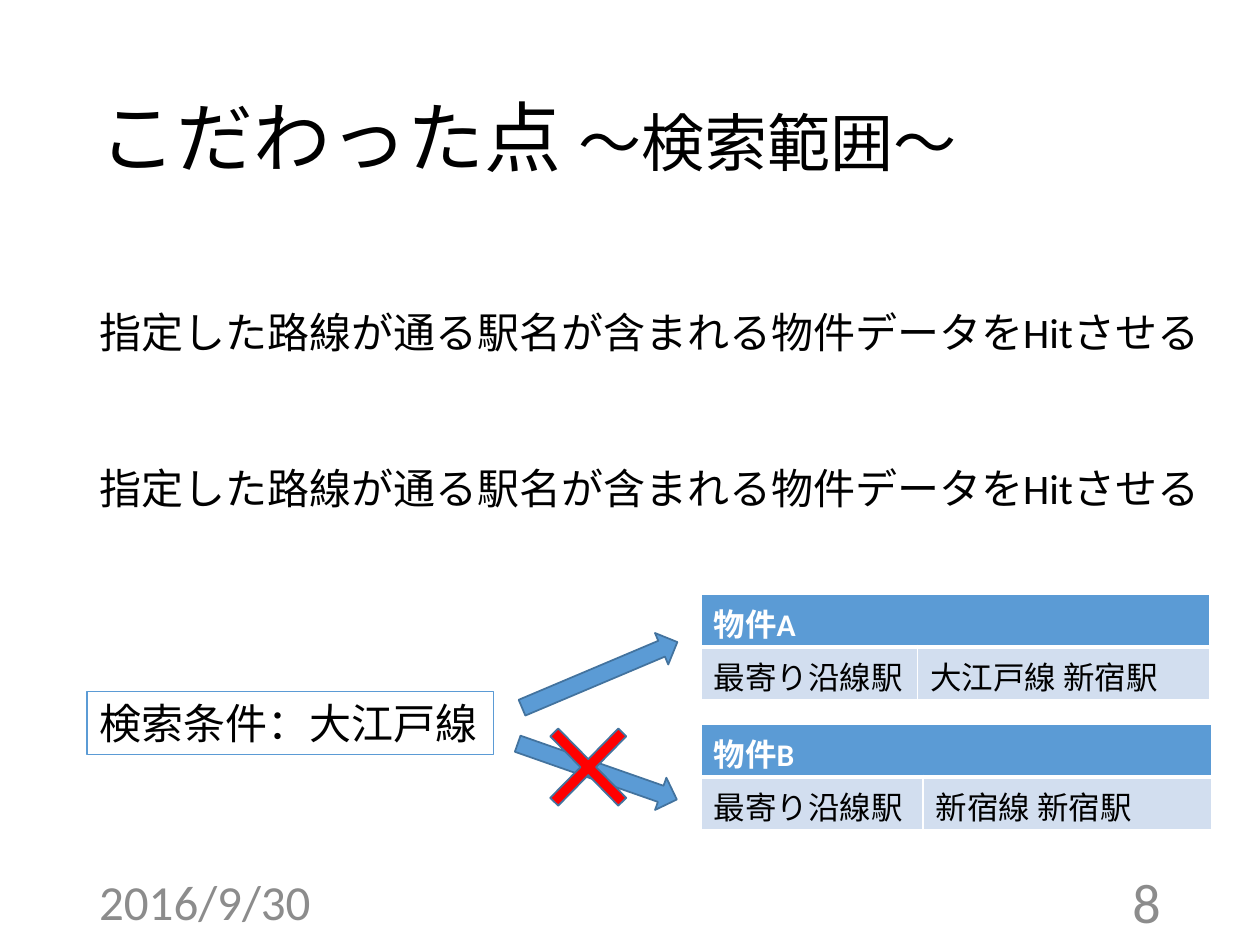
from dataclasses import dataclass

from lxml.etree import SubElement
from pptx import Presentation
from pptx.dml.color import RGBColor
from pptx.enum.shapes import MSO_SHAPE as Preset
from pptx.enum.text import MSO_ANCHOR as Anchor, PP_ALIGN as Align
from pptx.oxml.ns import qn
from pptx.util import Cm, Pt


@dataclass(frozen=True)
class Theme:
    font: str = "Calibri"
    ink: str = "000000"
    paper: str = "FFFFFF"
    muted: str = "8C8C8C"
    accent: str = "5B9BD5"
    outline: str = "43739E"
    pale: str = "D2DEEF"
    cross: str = "FF0000"
    title: int = 44
    subtitle: int = 36
    page: int = 32
    date: int = 28
    body: int = 24
    cell: int = 18


@dataclass(frozen=True)
class Box:
    """Left, top, width and height in centimetres."""
    left: float
    top: float
    width: float
    height: float

    def lengths(self) -> tuple:
        return Cm(self.left), Cm(self.top), Cm(self.width), Cm(self.height)


@dataclass(frozen=True)
class Property:
    name: str
    station: str
    top: float
    columns: tuple[float, float]


@dataclass(frozen=True)
class Mark:
    preset: Preset
    box: Box
    fill: str
    rotation: float = 0
    adjustment: float | None = None


THEME = Theme()
MARGIN = 1.75
TABLE_LEFT = 14.13
ROW_HEIGHT = 1.07
RULE = "指定した路線が通る駅名が含まれる物件データをHitさせる"
RULE_TOPS = (6.05, 9.2)

PROPERTIES = (
    Property("物件A", "大江戸線 新宿駅", 11.97, (4.37, 5.89)),
    Property("物件B", "新宿線 新宿駅", 14.59, (4.48, 5.82)),
)
MARKS = (
    Mark(Preset.RIGHT_ARROW, Box(10.39, 13.26, 3.4, 0.69), THEME.accent, 337.1),
    Mark(Preset.RIGHT_ARROW, Box(10.34, 15.21, 3.4, 0.69), THEME.accent, 19.3),
    Mark(Preset.MATH_MULTIPLY, Box(10.54, 14.12, 2.64, 2.69), THEME.cross,
         adjustment=0.085),
)


def color(value: str) -> RGBColor:
    return RGBColor.from_string(value)


def add_run(paragraph, text: str, size: int, ink: str = THEME.ink,
            bold: bool = False) -> None:
    run = paragraph.add_run()
    run.text = text
    run.font.name = THEME.font
    run.font.size = Pt(size)
    run.font.bold = bold
    run.font.color.rgb = color(ink)


def add_text(slide, box: Box, *runs: tuple, anchor=Anchor.TOP,
             align=Align.LEFT, spacing: float = 1.0):
    text_box = slide.shapes.add_textbox(*box.lengths())
    frame = text_box.text_frame
    frame.word_wrap = True
    frame.vertical_anchor = anchor
    paragraph = frame.paragraphs[0]
    paragraph.alignment = align
    paragraph.line_spacing = spacing
    for run in runs:
        add_run(paragraph, *run)
    return text_box


def set_borders(cell, bottom: int) -> None:
    """Give a cell white borders; python-pptx has no call for these."""
    properties = cell._tc.get_or_add_tcPr()
    widths = {"a:lnL": 1, "a:lnR": 1, "a:lnT": 1, "a:lnB": bottom}
    for position, (tag, width) in enumerate(widths.items()):
        line = SubElement(properties, qn(tag), w=str(Pt(width)))
        fill = SubElement(line, qn("a:solidFill"))
        SubElement(fill, qn("a:srgbClr"), val=THEME.paper)
        properties.insert(position, line)


def fill_cell(cell, fill: str, bottom: int, text: str = "",
              ink: str = THEME.ink, bold: bool = False) -> None:
    cell.fill.solid()
    cell.fill.fore_color.rgb = color(fill)
    set_borders(cell, bottom)
    if text:
        add_run(cell.text_frame.paragraphs[0], text, THEME.cell, ink, bold)


def add_property(slide, item: Property) -> None:
    box = Box(TABLE_LEFT, item.top, sum(item.columns), 2 * ROW_HEIGHT)
    table = slide.shapes.add_table(2, 2, *box.lengths()).table
    table.horz_banding = False
    for column, width in zip(table.columns, item.columns):
        column.width = Cm(width)
    table.cell(0, 0).merge(table.cell(0, 1))
    fill_cell(table.cell(0, 0), THEME.accent, 3, item.name, THEME.paper, True)
    fill_cell(table.cell(0, 1), THEME.accent, 3)
    for index, text in enumerate(("最寄り沿線駅", item.station)):
        fill_cell(table.cell(1, index), THEME.pale, 1, text)


def add_mark(slide, mark: Mark) -> None:
    shape = slide.shapes.add_shape(mark.preset, *mark.box.lengths())
    shape.shadow.inherit = False
    shape.rotation = mark.rotation
    if mark.adjustment is not None:
        shape.adjustments[0] = mark.adjustment
    shape.fill.solid()
    shape.fill.fore_color.rgb = color(mark.fill)
    shape.line.color.rgb = color(THEME.outline)
    shape.line.width = Pt(1)


def main() -> None:
    deck = Presentation()
    deck.slide_width, deck.slide_height = Cm(25.4), Cm(19.05)
    slide = deck.slides.add_slide(deck.slide_layouts[6])

    # Title, date and page number
    add_text(slide, Box(MARGIN, 1.02, 21.9, 3.68),
             ("こだわった点 ", THEME.title), ("～検索範囲～", THEME.subtitle),
             anchor=Anchor.MIDDLE, spacing=0.9)
    add_text(slide, Box(MARGIN, 17.65, 5.72, 1.02),
             ("2016/9/30", THEME.date, THEME.muted), anchor=Anchor.MIDDLE)
    add_text(slide, Box(17.93, 17.65, 5.72, 1.02),
             ("8", THEME.page, THEME.muted),
             anchor=Anchor.MIDDLE, align=Align.RIGHT)

    # Search rule and condition
    for top in RULE_TOPS:
        add_text(slide, Box(MARGIN, top, 22.91, 1.27), (RULE, THEME.body))
    condition = add_text(slide, Box(MARGIN, 13.94, 8.2, 1.27),
                         ("検索条件：大江戸線", THEME.body))
    condition.text_frame.word_wrap = False
    condition.line.color.rgb = color(THEME.accent)
    condition.line.width = Pt(1)

    # Properties, with the arrows to them and the cross
    for item in PROPERTIES:
        add_property(slide, item)
    for mark in MARKS:
        add_mark(slide, mark)

    deck.save("out.pptx")


if __name__ == "__main__":
    main()
